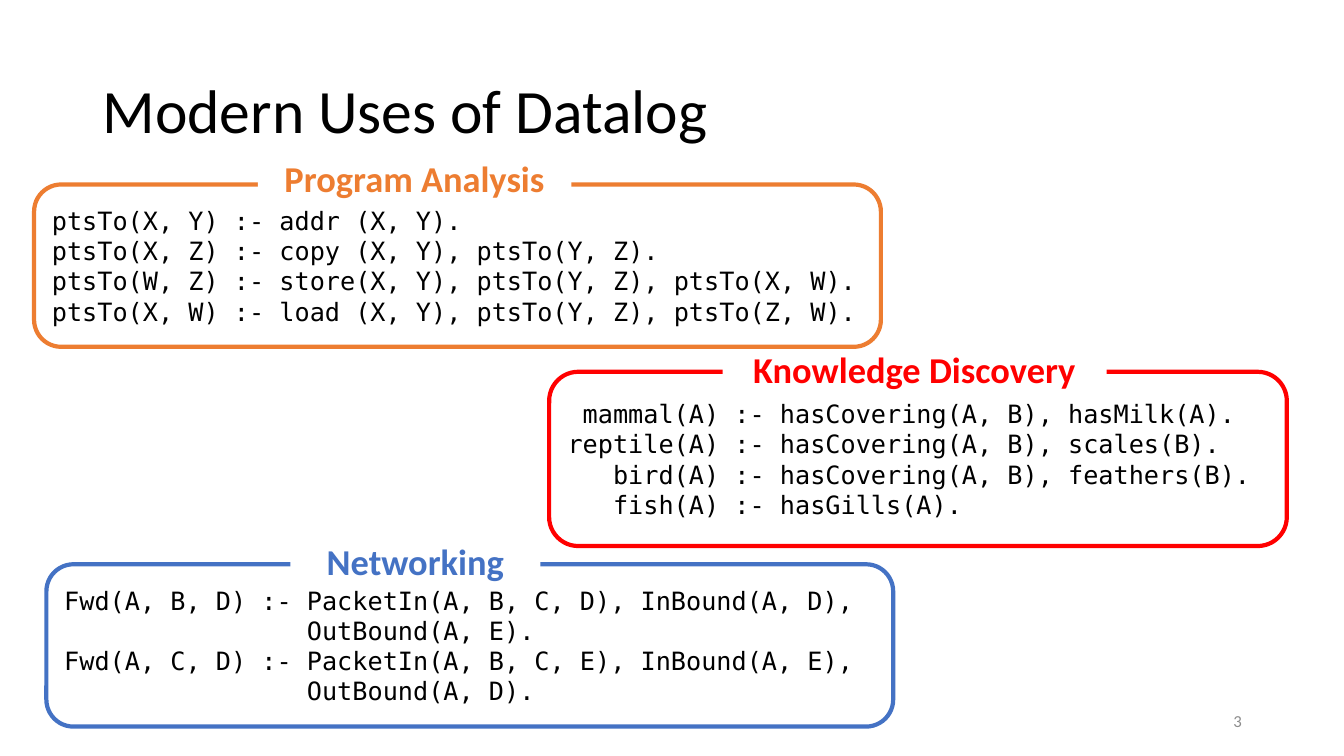
from dataclasses import dataclass

from lxml.etree import SubElement
from pptx import Presentation
from pptx.dml.color import RGBColor as RGB
from pptx.enum.shapes import MSO_SHAPE as SHAPE
from pptx.enum.text import MSO_ANCHOR as ANCHOR, MSO_AUTO_SIZE as AUTO, PP_ALIGN as ALIGN
from pptx.util import Cm, Pt


@dataclass(frozen=True)
class Theme:
    text_font: str = "Calibri"
    code_font: str = "DejaVu Sans Mono"
    black: RGB = RGB(0, 0, 0)
    white: RGB = RGB(255, 255, 255)
    grey: RGB = RGB(0x8C, 0x8C, 0x8C)
    orange: RGB = RGB(0xED, 0x7D, 0x31)
    red: RGB = RGB(255, 0, 0)
    blue: RGB = RGB(0x44, 0x72, 0xC4)
    title_size: Pt = Pt(44)
    heading_size: Pt = Pt(26)
    code_size: Pt = Pt(18)
    number_size: Pt = Pt(12)
    border: Pt = Pt(3)


THEME = Theme()

# Each panel: colour, frame box, heading, heading box, rules (boxes in cm)
PANELS = [
    (THEME.red, (13.84, 9.37, 18.59, 4.39),
     "Knowledge Discovery", (18.21, 8.76, 9.68, 1.12), [
         " mammal(A) :- hasCovering(A, B), hasMilk(A).",
         "reptile(A) :- hasCovering(A, B), scales(B).",
         "   bird(A) :- hasCovering(A, B), feathers(B).",
         "   fish(A) :- hasGills(A)."]),
    (THEME.blue, (1.17, 14.22, 21.34, 4.09),
     "Networking", (7.32, 13.46, 6.3, 1.37), [
         "Fwd(A, B, D) :- PacketIn(A, B, C, D), InBound(A, D),",
         "                OutBound(A, E).",
         "Fwd(A, C, D) :- PacketIn(A, B, C, E), InBound(A, E),",
         "                OutBound(A, D)."]),
    (THEME.orange, (0.86, 4.65, 21.34, 4.09),
     "Program Analysis", (6.5, 3.81, 7.9, 1.37), [
         "ptsTo(X, Y) :- addr (X, Y).",
         "ptsTo(X, Z) :- copy (X, Y), ptsTo(Y, Z).",
         "ptsTo(W, Z) :- store(X, Y), ptsTo(Y, Z), ptsTo(X, W).",
         "ptsTo(X, W) :- load (X, Y), ptsTo(Y, Z), ptsTo(Z, W)."]),
]


def box_cm(box):
    return [Cm(length) for length in box]


def write(frame, lines, font, size, color, align=ALIGN.LEFT, bold=False):
    """Put one paragraph per line into a text frame."""
    for index, line in enumerate(lines):
        paragraph = frame.paragraphs[0] if index == 0 else frame.add_paragraph()
        paragraph.alignment = align
        run = paragraph.add_run()
        run.text = line
        run.font.name, run.font.size, run.font.bold = font, size, bold
        run.font.color.rgb = color


def add_white_shape(group, kind, box, border=None):
    shape = group.shapes.add_shape(kind, *box_cm(box))
    shape.shadow.inherit = False
    shape.fill.solid()
    shape.fill.fore_color.rgb = THEME.white
    if border is None:
        shape.line.fill.background()
    else:
        shape.line.color.rgb = border
        shape.line.width = THEME.border
    shape.text_frame.word_wrap = True
    return shape.text_frame


def add_panel(slide, color, frame_box, heading, heading_box, rules):
    """Group a framed block of rules with the heading that breaks its border."""
    group = slide.shapes.add_group_shape()
    code = add_white_shape(group, SHAPE.ROUNDED_RECTANGLE, frame_box, color)
    code.vertical_anchor = ANCHOR.MIDDLE
    write(code, rules, THEME.code_font, THEME.code_size, THEME.black)

    label = add_white_shape(group, SHAPE.RECTANGLE, heading_box)
    label.vertical_anchor = ANCHOR.TOP
    label.auto_size = AUTO.SHAPE_TO_FIT_TEXT
    if heading_box[3] < 1.3:  # the low heading has no vertical padding
        label.margin_top = label.margin_bottom = 0
    write(label, [heading], THEME.text_font, THEME.heading_size, color,
          ALIGN.CENTER, bold=True)


def set_title(slide, text):
    title = slide.shapes.title
    title.left, title.top, title.width, title.height = box_cm((2.33, 1.01, 29.21, 3.68))
    frame = title.text_frame
    frame.word_wrap = True
    frame.auto_size = AUTO.NONE
    frame.vertical_anchor = ANCHOR.MIDDLE
    write(frame, [text], THEME.text_font, THEME.title_size, THEME.black)
    frame.paragraphs[0].line_spacing = 0.9


def add_slide_number(slide, number):
    frame = slide.shapes.add_textbox(*box_cm((23.93, 17.65, 7.62, 1.02))).text_frame
    frame.word_wrap = True
    frame.vertical_anchor = ANCHOR.MIDDLE
    write(frame, [number], THEME.text_font, THEME.number_size, THEME.grey, ALIGN.RIGHT)


def main():
    deck = Presentation()
    deck.slide_width, deck.slide_height = Cm(33.87), Cm(19.05)
    slide = deck.slides.add_slide(deck.slide_layouts[5])

    set_title(slide, "Modern Uses of Datalog")
    add_slide_number(slide, "3")
    for panel in PANELS:
        add_panel(slide, *panel)

    deck.save("out.pptx")


if __name__ == "__main__":
    main()
